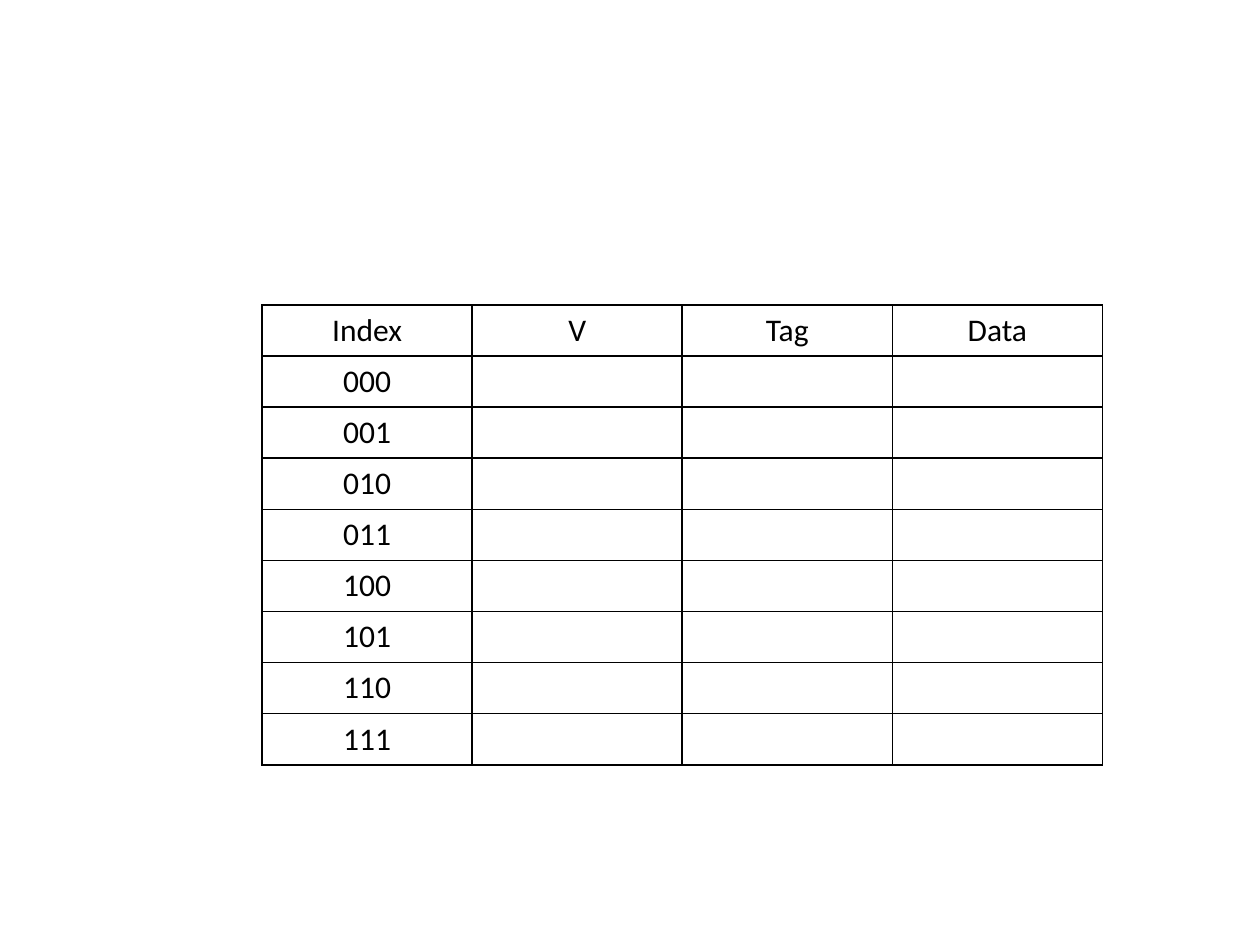
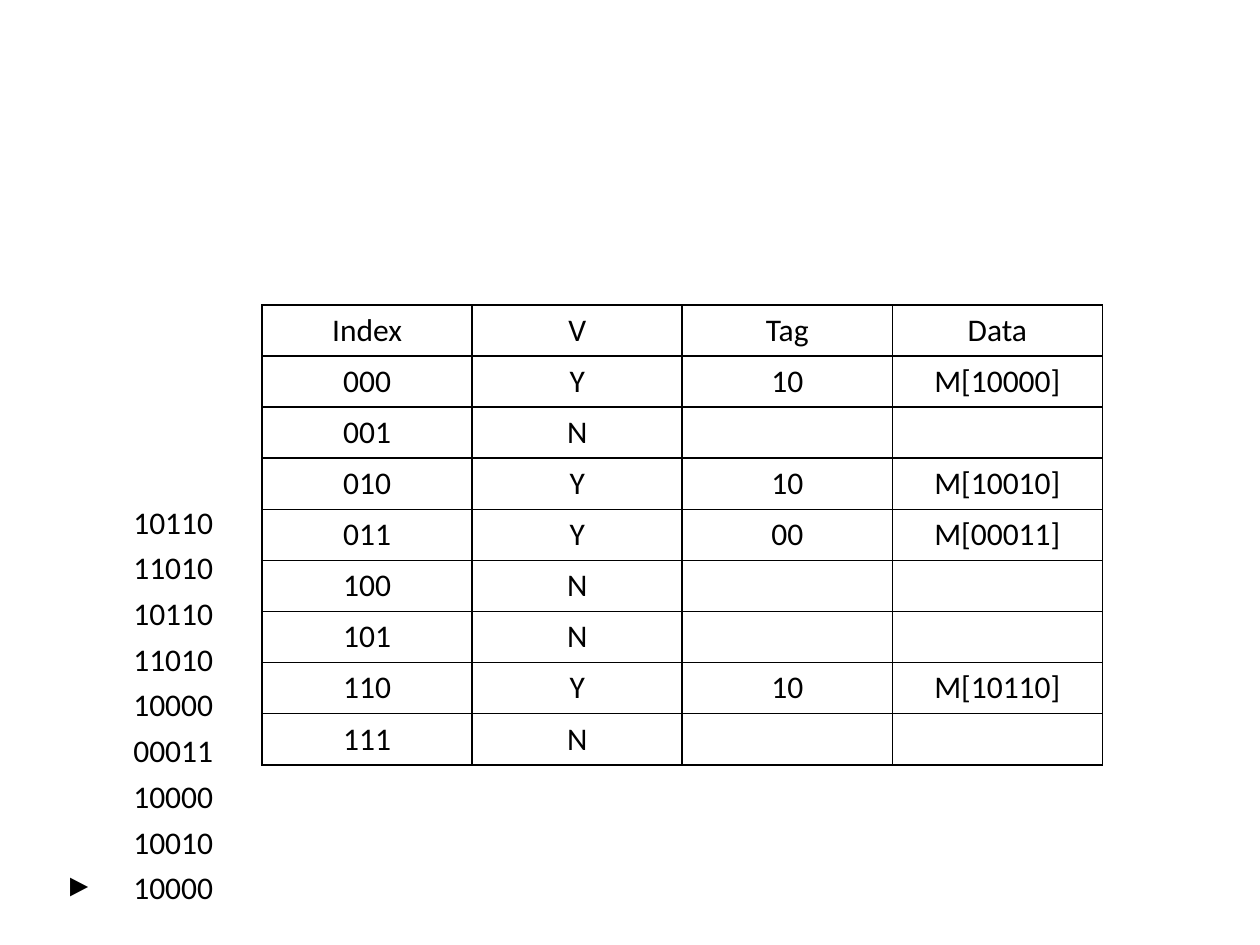
from lxml.etree import SubElement
from pptx import Presentation
from pptx.dml.color import RGBColor
from pptx.enum.text import MSO_ANCHOR as ANCHOR, PP_ALIGN as ALIGN
from pptx.oxml.ns import qn
from pptx.util import Inches, Pt

COLORS = {"text": "000000", "border": "000000"}
FONT, MARKER_FONT = "Calibri", "Courier New"
CELL_FORMAT = {"margin_left": Inches(0.1), "margin_right": Inches(0.1),
               "margin_top": Inches(0.05), "margin_bottom": Inches(0.05),
               "vertical_anchor": ANCHOR.MIDDLE}
TIGHT_FORMAT = {"margin_left": 0, "margin_right": 0, "margin_top": 0,
                "margin_bottom": 0, "vertical_anchor": ANCHOR.TOP}


def add_border(cell):
    tcPr = cell._tc.get_or_add_tcPr()
    for side in ("lnL", "lnR", "lnT", "lnB"):
        ln = SubElement(tcPr, qn("a:" + side), w=str(Pt(1)))
        fill = SubElement(ln, qn("a:solidFill"))
        SubElement(fill, qn("a:srgbClr"), val=COLORS["border"])


def add_grid(slide, rows, left, top, width, height, cell_format, bordered):
    n_rows, n_cols = len(rows), len(rows[0])
    table = slide.shapes.add_table(n_rows, n_cols, Inches(left), Inches(top),
                                   Inches(width), Inches(height)).table
    table.first_row = table.horz_banding = False
    for r, row in enumerate(rows):
        for c, text in enumerate(row):
            cell = table.cell(r, c)
            for name, value in cell_format.items():
                setattr(cell, name, value)
            if bordered:
                add_border(cell)
            cell.fill.background()
            p = cell.text_frame.paragraphs[0]
            p.alignment = ALIGN.CENTER
            if text:
                font = p.add_run().font
                p.runs[0].text = text
                font.name = MARKER_FONT if text == "►" else FONT
                font.size = Pt(18)
                font.color.rgb = RGBColor.from_string(COLORS["text"])


prs = Presentation()
prs.slide_width, prs.slide_height = Inches(10), Inches(7.5)

indexes = [format(i, "03b") for i in range(8)]
header = ["Index", "V", "Tag", "Data"]
cached_tags = {"000": "10", "010": "10", "011": "00", "110": "10"}
addresses = ["10110", "11010", "10110", "11010", "10000",
             "00011", "10000", "10010", "10000"]

empty_cache = [header] + [[index, "", "", ""] for index in indexes]
filled_cache = [header]
for index in indexes:
    tag = cached_tags.get(index)
    filled_cache.append([index, "Y", tag, f"M[{tag}{index}]"] if tag
                        else [index, "N", "", ""])

for cache in (empty_cache, filled_cache):
    slide = prs.slides.add_slide(prs.slide_layouts[6])
    add_grid(slide, cache, 2.08, 2.42, 6.67, 3.65, CELL_FORMAT, True)

current = len(addresses) - 1
accesses = [["►" if i == current else "", address]
            for i, address in enumerate(addresses)]
add_grid(slide, accesses, 0.25, 4, 1.5, 3.27, TIGHT_FORMAT, False)

prs.save("out.pptx")
